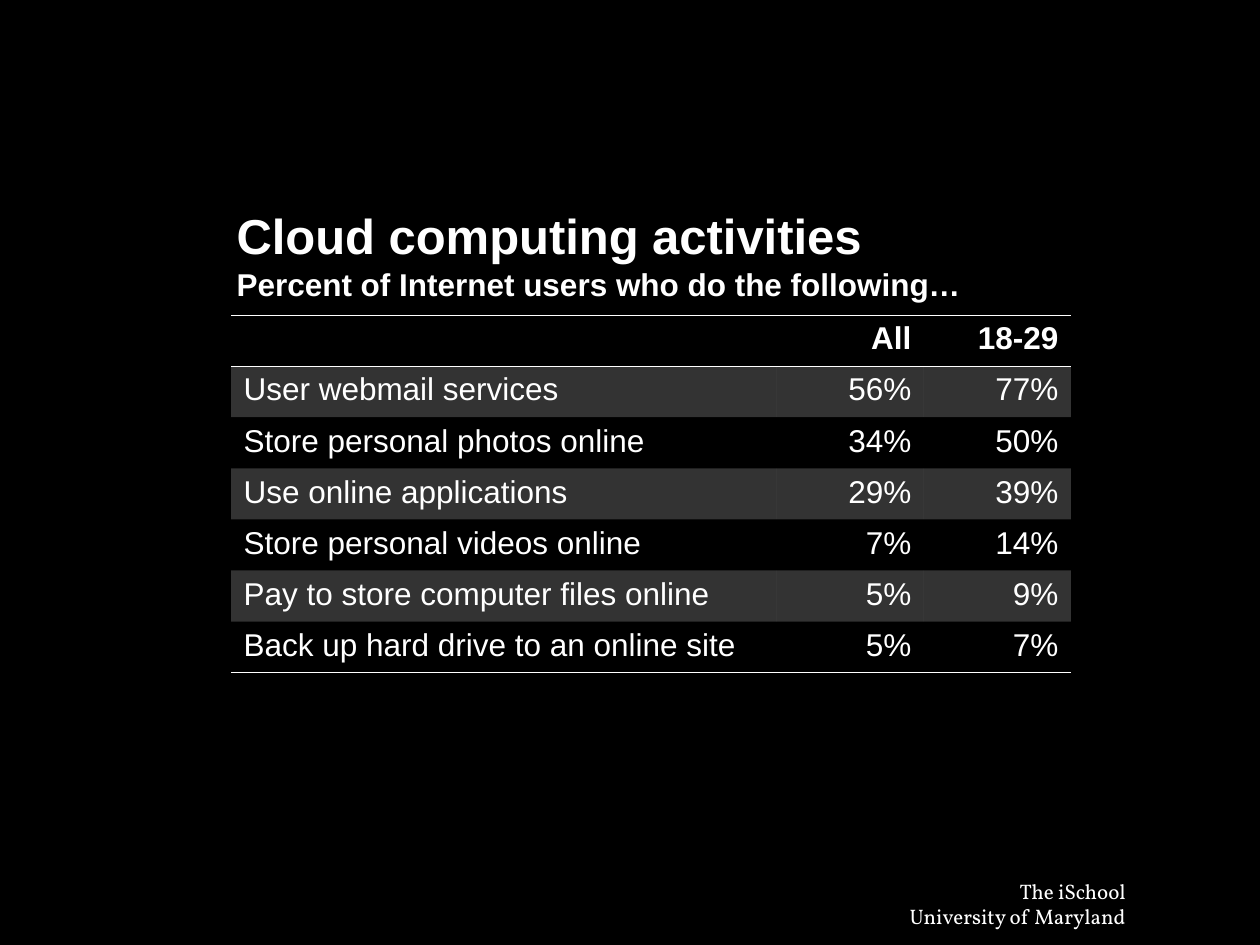
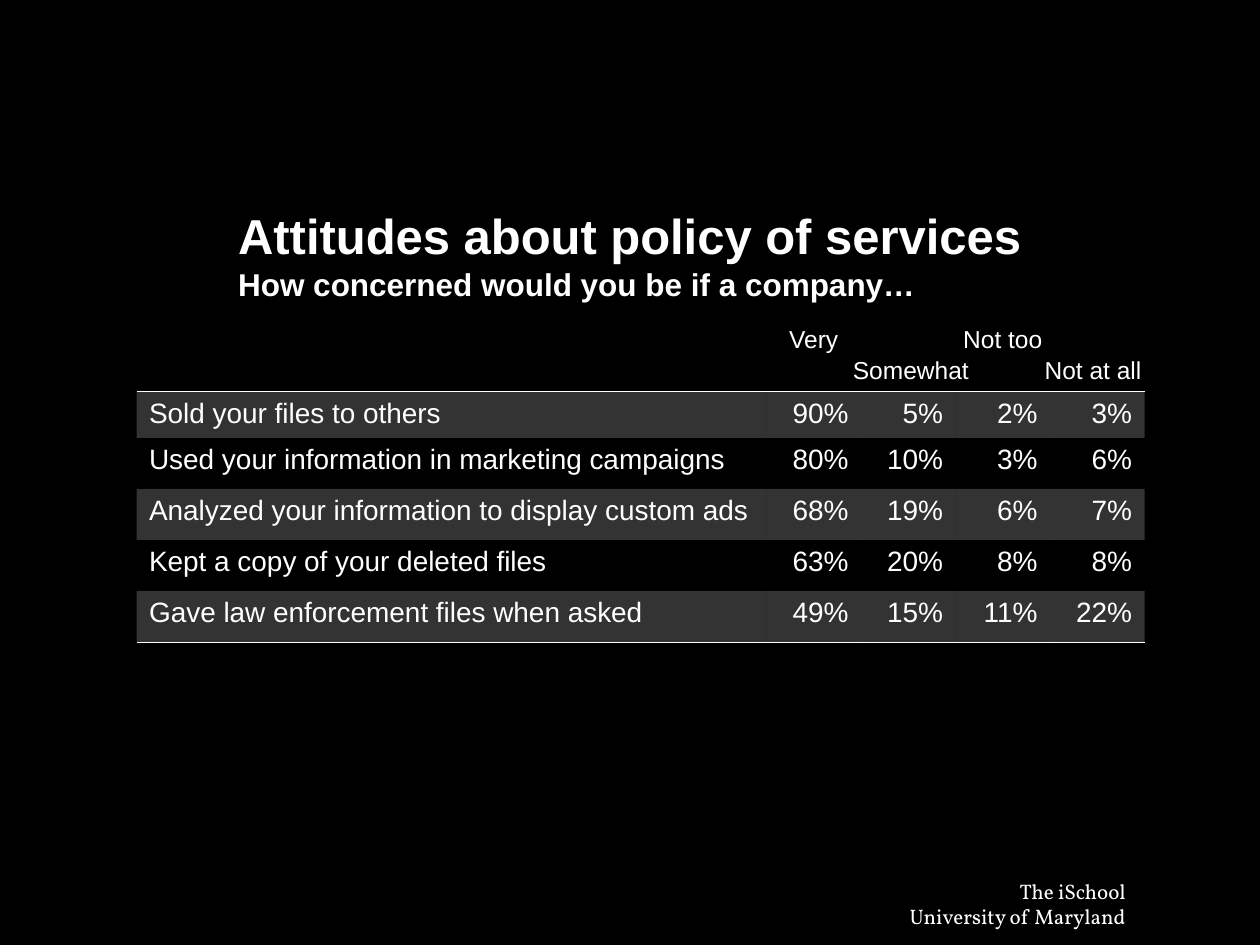
from dataclasses import dataclass

from lxml.etree import SubElement
from pptx import Presentation
from pptx.dml.color import RGBColor
from pptx.enum.text import MSO_AUTO_SIZE as AutoSize, PP_ALIGN as Align
from pptx.oxml.ns import qn
from pptx.util import Inches, Pt

NO_GRID_STYLE = "{2D5ABB26-0587-4C30-8999-92F81FD0307C}"


@dataclass(frozen=True)
class Theme:
    """Colours, fonts, type sizes and line width shared by the slides."""
    background: RGBColor = RGBColor(0, 0, 0)
    ink: RGBColor = RGBColor(255, 255, 255)
    band_opacity: int = 20
    rule_width: float = 0.45
    body_font: str = "Arial"
    footer_font: str = "Vollkorn"
    title: int = 28
    subtitle: int = 18
    activities: int = 18
    attitudes: int = 16
    column_label: int = 14
    footer: int = 12


THEME = Theme()


def grid(units):
    """Convert grid units, 120 across and 90 down the slide, to a length."""
    return Inches(units / 12)


def write(paragraph, text, *, size, font=THEME.body_font, bold=False, align=Align.LEFT):
    """Add formatted text to a paragraph."""
    paragraph.alignment = align
    run = paragraph.add_run()
    run.text = text
    run.font.name = font
    run.font.size = Pt(size)
    run.font.bold = bold
    run.font.color.rgb = THEME.ink


def add_text_frame(slide, left, top, width, height):
    """Add a text box that keeps its width and return its text frame."""
    frame = slide.shapes.add_textbox(*map(grid, (left, top, width, height))).text_frame
    frame.word_wrap = True
    frame.auto_size = AutoSize.SHAPE_TO_FIT_TEXT
    return frame


def add_title(slide, title, subtitle, left):
    """Add the title with its subtitle on the next line."""
    paragraph = add_text_frame(slide, left, 19, 84, 10.4).paragraphs[0]
    write(paragraph, title, size=THEME.title, bold=True)
    paragraph.add_line_break()
    write(paragraph, subtitle, size=THEME.subtitle, bold=True)


def add_footer(slide):
    """Add the two-line affiliation at the lower right."""
    frame = add_text_frame(slide, 82.4, 83.05, 26, 6)
    for paragraph, line in ((frame.paragraphs[0], "The iSchool"),
                            (frame.add_paragraph(), "University of Maryland")):
        write(paragraph, line, size=THEME.footer, font=THEME.footer_font, align=Align.RIGHT)


def set_border(cell, side, visible):
    """Show or hide the line along the T(op) or B(ottom) side of a cell."""
    width = Pt(THEME.rule_width) if visible else 0
    line = SubElement(cell._tc.get_or_add_tcPr(), qn(f"a:ln{side}"), w=str(width))
    fill = SubElement(line, qn("a:solidFill" if visible else "a:noFill"))
    if visible:
        SubElement(fill, qn("a:srgbClr"), val=str(THEME.ink))


def fill_band(cell):
    """Fill a cell with the translucent band colour."""
    cell.fill.solid()
    cell.fill.fore_color.rgb = THEME.ink
    color = cell._tc.tcPr.find(f"{qn('a:solidFill')}/{qn('a:srgbClr')}")
    SubElement(color, qn("a:alpha"), val=str(THEME.band_opacity * 1000))


def add_data_table(slide, rows, left, top, columns, heights, size, header=False):
    """Add a table with banded rows and thin rules around header and body."""
    frame = slide.shapes.add_table(len(rows), len(columns), grid(left), grid(top),
                                   grid(sum(columns)), grid(sum(heights)))
    table = frame.table
    table.first_row = table.horz_banding = False
    table._tbl.tblPr.find(qn("a:tableStyleId")).text = NO_GRID_STYLE
    for column, width in zip(table.columns, columns):
        column.width = grid(width)
    rules = {0, int(header), len(rows)}
    for index, (values, height) in enumerate(zip(rows, heights)):
        table.rows[index].height = grid(height)
        is_header = header and index == 0
        for position, value in enumerate(values):
            cell = table.cell(index, position)
            if value:
                write(cell.text_frame.paragraphs[0], value, size=size, bold=is_header,
                      align=Align.RIGHT if position else Align.LEFT)
            for side, edge in (("T", index), ("B", index + 1)):
                set_border(cell, side, edge in rules)
            if not is_header and (index - header) % 2 == 0:
                fill_band(cell)
            else:
                cell.fill.background()


def add_column_labels(slide, labels):
    """Add column labels, each centred on its point, at two alternating heights."""
    width = 16
    for index, (text, center) in enumerate(labels):
        frame = add_text_frame(slide, center - width / 2, 30.25 + 3 * (index % 2), width, 4.1)
        write(frame.paragraphs[0], text, size=THEME.column_label, align=Align.CENTER)


def add_slide(presentation):
    """Add a blank slide with the shared background and footer."""
    slide = presentation.slides.add_slide(presentation.slide_layouts[6])
    slide.background.fill.solid()
    slide.background.fill.fore_color.rgb = THEME.background
    add_footer(slide)
    return slide


def add_activities_slide(presentation):
    """Build the slide on cloud computing activities."""
    slide = add_slide(presentation)
    rows = [
        ("", "All", "18-29"),
        ("User webmail services", "56%", "77%"),
        ("Store personal photos online", "34%", "50%"),
        ("Use online applications", "29%", "39%"),
        ("Store personal videos online", "7%", "14%"),
        ("Pay to store computer files online", "5%", "9%"),
        ("Back up hard drive to an online site", "5%", "7%"),
    ]
    add_data_table(slide, rows, 22, 30, (52, 14, 14), [4.87] * len(rows),
                   THEME.activities, header=True)
    add_title(slide, "Cloud computing activities",
              "Percent of Internet users who do the following…", 21.35)


def add_attitudes_slide(presentation):
    """Build the slide on attitudes about service policies."""
    slide = add_slide(presentation)
    rows = [
        ("Sold your files to others", "90%", "5%", "2%", "3%"),
        ("Used your information in marketing campaigns", "80%", "10%", "3%", "6%"),
        ("Analyzed your information to display custom ads", "68%", "19%", "6%", "7%"),
        ("Kept a copy of your deleted files", "63%", "20%", "8%", "8%"),
        ("Gave law enforcement files when asked", "49%", "15%", "11%", "22%"),
    ]
    add_data_table(slide, rows, 13, 37.3, (60, 9, 9, 9, 9), [4.4] + [4.86] * 4,
                   THEME.attitudes)
    add_title(slide, "Attitudes about policy of services",
              "How concerned would you be if a company…", 21.5)
    add_column_labels(slide, (("Very", 77.5), ("Somewhat", 86.75),
                              ("Not too", 95.5), ("Not at all", 104.1)))


def main():
    """Build and save the presentation."""
    presentation = Presentation()
    presentation.slide_width = grid(120)
    presentation.slide_height = grid(90)
    add_activities_slide(presentation)
    add_attitudes_slide(presentation)
    presentation.save("out.pptx")


if __name__ == "__main__":
    main()
